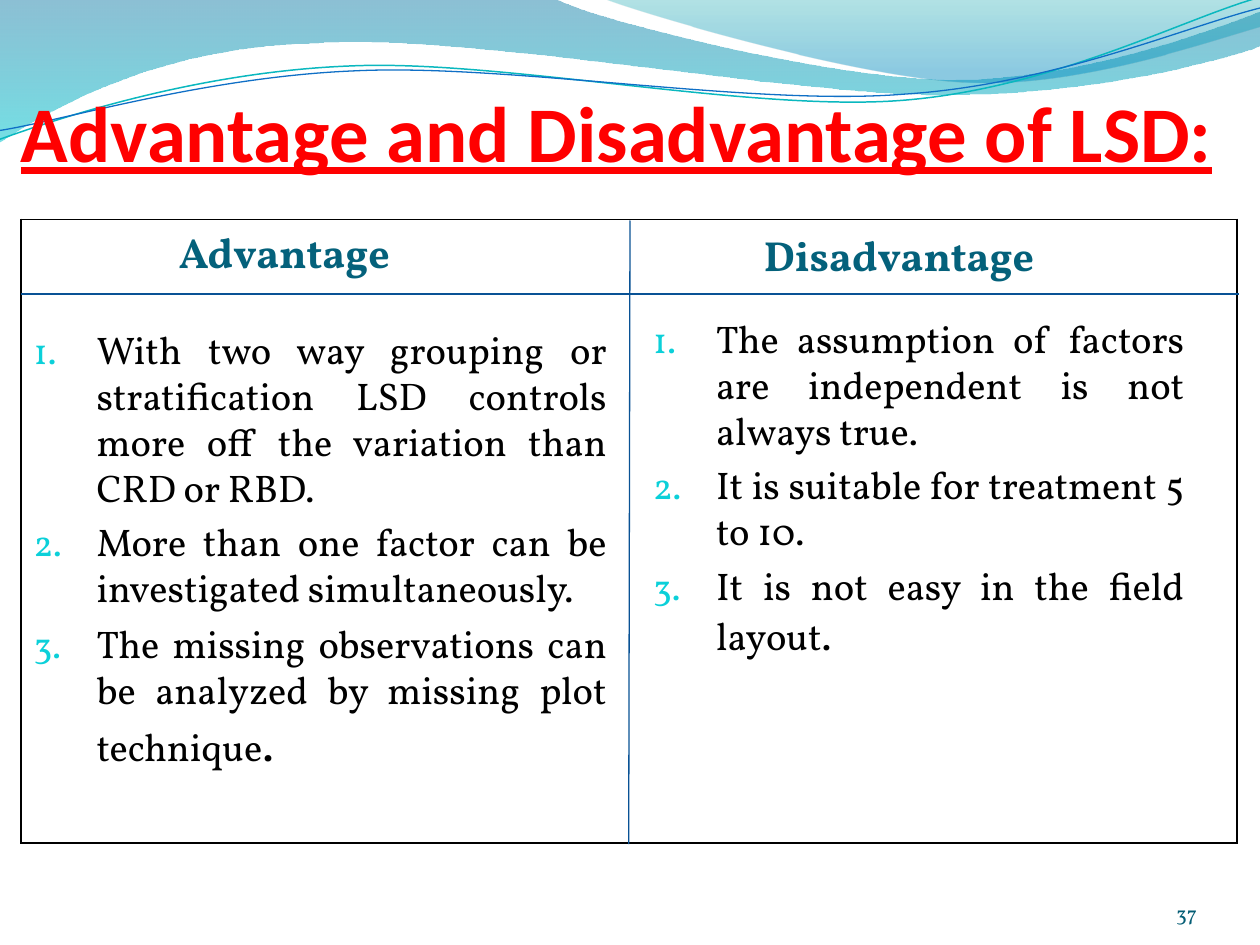
from lxml import etree
from pptx import Presentation
from pptx.dml.color import RGBColor
from pptx.enum.shapes import MSO_CONNECTOR
from pptx.enum.text import MSO_ANCHOR, MSO_AUTO_SIZE, PP_ALIGN
from pptx.oxml.ns import qn
from pptx.util import Inches, Pt

LEFT, RIGHT, JUST = PP_ALIGN.LEFT, PP_ALIGN.RIGHT, PP_ALIGN.JUSTIFY
TOP, MID, BOTTOM = MSO_ANCHOR.TOP, MSO_ANCHOR.MIDDLE, MSO_ANCHOR.BOTTOM
NO_FIT = MSO_AUTO_SIZE.NONE
STRAIGHT = MSO_CONNECTOR.STRAIGHT
SERIF = "Vollkorn"

# The layout sits on a grid of twelfths of an inch.
EDGE, HALF, COL = 1 / 6, 61 / 12, 53 / 12

TITLE = dict(name="Calibri", size=Pt(45), bold=True, underline=True)
HEAD = dict(name=SERIF, size=Pt(24), bold=True)
ITEM = dict(name=SERIF, size=Pt(22), bold=False)
PAGE = dict(name=SERIF, size=Pt(12))

# Each wave is a start point, then 2 numbers for a line or 6 for a curve.
BANDS = [
    ([(0, 0), (4.4, -.01), (4.76, .17, 6.64, .63, 7.58, .63),
      (8.53, .63, 9.58, .26, 10, .09), (10.01, .36),
      (9.83, .44, 8.7, .76, 7.46, .75), (6.22, .75, 3.82, .28, 2.57, .34),
      (1.29, .36, .46, .83, -.01, 1.13)],
     [(0, "0074A1", 45), (1, "00C6CF", 55)]),
    ([(4.79, -.01), (5.09, .11, 6.82, .62, 7.69, .65),
      (8.56, .69, 9.61, .32, 10, .21), (10, 0)],
     [(0, "00A1A9", 30), (.8, "008BBF", 45)]),
]
STROKES = [
    ([(-.02, .87), (.47, .72, 1.58, .41, 2.78, .42),
      (3.96, .42, 5.91, .93, 7.12, .9), (8.32, .87, 9.4, .36, 10, .22)],
     "0AB8BF", .85),
    ([(-.02, .8), (.46, .75, 1.64, .45, 2.83, .46),
      (4.04, .46, 5.96, .89, 7.16, .85), (8.35, .83, 9.42, .42, 10.02, .3)],
     "0F6FC6", .75),
]
PROS = [
    "With two way grouping or stratification LSD controls more off the "
    "variation than CRD or RBD.",
    "More than one factor can be investigated simultaneously.",
    "The missing observations can be analyzed by missing plot technique",
]
CONS = [
    "The assumption of factors are independent is not always true.",
    "It is suitable for treatment 5 to 10.",
    "It is not easy in the field layout",
]


def rgb(code):
    return RGBColor.from_string(code)


def style(obj, form):
    for key, value in form.items():
        setattr(obj, key, value)


def bend(wave, path):
    """Join each three line steps of a curve into one Bezier step."""
    steps = iter(list(wave._element.iter(qn("a:lnTo"))))
    for seg in path[1:]:
        first = next(steps)
        if len(seg) == 6:
            first.tag = qn("a:cubicBezTo")
            for step in (next(steps), next(steps)):
                first.append(step[0])
                step.getparent().remove(step)


def add_wave(slide, path, layer, closed):
    """Draw a wave at the given depth, behind the text."""
    pts = [(Inches(x), Inches(y)) for seg in path
           for x, y in zip(seg[::2], seg[1::2])]
    pen = slide.shapes.build_freeform(*pts[0])
    pen.add_line_segments(pts[1:], close=closed)
    wave = pen.convert_to_shape()
    wave.shadow.inherit = False
    curve = wave._element.find(".//" + qn("a:path"))
    if curve is not None:
        bend(wave, path)
    slide.shapes._spTree.insert(2 + layer, wave._element)
    return wave


def add_band(slide, path, stops, layer):
    band = add_wave(slide, path, layer, True)
    band.line.fill.background()
    band.fill.gradient()
    band.fill.gradient_angle = 270
    for stop, (pos, code, alpha) in zip(band.fill.gradient_stops, stops):
        stop.position = pos
        stop.color.rgb = rgb(code)
        tint = stop._gs.find(qn("a:srgbClr"))
        etree.SubElement(tint, qn("a:alpha"), val=str(alpha * 1000))


def add_stroke(slide, path, code, width, layer):
    wave = add_wave(slide, path, layer, False)
    wave.rotation = 357.3
    wave.fill.background()
    wave.line.color.rgb = rgb(code)
    wave.line.width = Pt(width)


def set_box(shape, area, anchor, pads):
    """Place a text shape and return its frame."""
    names = ("left", "top", "width", "height")
    style(shape, dict(zip(names, map(Inches, area))))
    frame = shape.text_frame
    names = ("margin_left", "margin_top", "margin_right", "margin_bottom")
    style(frame, dict(zip(names, map(Inches, pads))))
    style(frame, dict(word_wrap=True, auto_size=NO_FIT,
                      vertical_anchor=anchor))
    return frame


def add_run(para, text, form, code):
    run = para.add_run()
    run.text = text
    style(run.font, form)
    run.font.color.rgb = rgb(code)


def set_line(frame, text, form, code, align=LEFT, indent=0):
    para = frame.paragraphs[0]
    style(para, dict(alignment=align, space_before=Pt(0)))
    if indent:
        para._p.get_or_add_pPr().set("marL", str(Inches(indent)))
    add_run(para, text, form, code)


def number(para, gap):
    """Number a paragraph, with a gap above in percent of its text size."""
    props = para._p.get_or_add_pPr()
    props.set("marL", str(Inches(.5)))
    props.set("indent", str(Inches(-.5)))
    space = etree.SubElement(props, qn("a:spcBef"))
    etree.SubElement(space, qn("a:spcPct"), val=str(gap * 1000))
    tint = etree.SubElement(props, qn("a:buClr"))
    etree.SubElement(tint, qn("a:srgbClr"), val="0BD0D9")
    etree.SubElement(props, qn("a:buSzPct"), val="95000")
    etree.SubElement(props, qn("a:buAutoNum"), type="arabicPeriod")


def set_list(frame, items, dot):
    """Fill a numbered list; its last full stop has the size dot."""
    for i, item in enumerate(items):
        para = frame.add_paragraph() if i else frame.paragraphs[0]
        number(para, 20 if i else 0)
        para.alignment = JUST
        add_run(para, item, ITEM, "000000")
    add_run(para, ".", dict(ITEM, size=Pt(dot)), "000000")


def add_frame(slide, area):
    """Add the one-cell table that borders both columns."""
    table = slide.shapes.add_table(1, 1, *map(Inches, area)).table
    style(table, dict(first_row=False, horz_banding=False))
    cell = table.cell(0, 0)
    cell.fill.background()
    props = cell._tc.get_or_add_tcPr()
    for i, side in enumerate(("lnL", "lnR", "lnT", "lnB")):
        edge = etree.Element(qn("a:" + side), w=str(Pt(1)))
        fill = etree.SubElement(edge, qn("a:solidFill"))
        etree.SubElement(fill, qn("a:srgbClr"), val="000000")
        props.insert(i, edge)


def add_rule(slide, *ends):
    rule = slide.shapes.add_connector(STRAIGHT, *map(Inches, ends))
    rule.line.color.rgb = rgb("095295")
    rule.line.width = Pt(.75)
    etree.SubElement(rule._element.spPr, qn("a:effectLst"))


def main():
    deck = Presentation()
    style(deck, dict(slide_width=Inches(10), slide_height=Inches(7.5)))
    slide = deck.slides.add_slide(deck.slide_layouts[4])
    title, pro_head, pros, con_head, cons = slide.placeholders

    for i, (path, stops) in enumerate(BANDS):
        add_band(slide, path, stops, i)
    for i, (path, code, width) in enumerate(STROKES, len(BANDS)):
        add_stroke(slide, path, code, width, i)

    frame = set_box(title, (EDGE, EDGE, 9.67, 1.25), BOTTOM, (0, .05, 0, 0))
    set_line(frame, "Advantage and Disadvantage of LSD:", TITLE, "FF0000")

    for shape, text, left, high, indent in (
            (pro_head, "Advantage", .5, .67, .87),
            (con_head, "Disadvantage", HALF, .72, .93)):
        frame = set_box(shape, (left, 1.66, COL, high), MID, (.05, 0, .05, 0))
        set_line(frame, text, HEAD, "04617B", indent=indent)

    for shape, items, left, top, width, dot in (
            (pros, PROS, EDGE, 31 / 12, 4.75, 28),
            (cons, CONS, HALF, 2.5, COL, 24)):
        frame = set_box(shape, (left, top, width, 4.21), TOP, (.1, 0, .1, .05))
        set_list(frame, items, dot)

    add_frame(slide, (EDGE, 1.74, 9.65, 4.95))
    add_rule(slide, EDGE, 7 / 3, 59 / 6, 7 / 3)
    add_rule(slide, 5, 1.75, 4.99, 6.7)

    page = slide.shapes.add_textbox(0, 0, 0, 0)
    frame = set_box(page, (8.67, 6.95, .83, .4), BOTTOM, (0, 0, 0, 0))
    set_line(frame, "37", PAGE, "045D75", RIGHT)
    deck.save("out.pptx")


if __name__ == "__main__":
    main()
